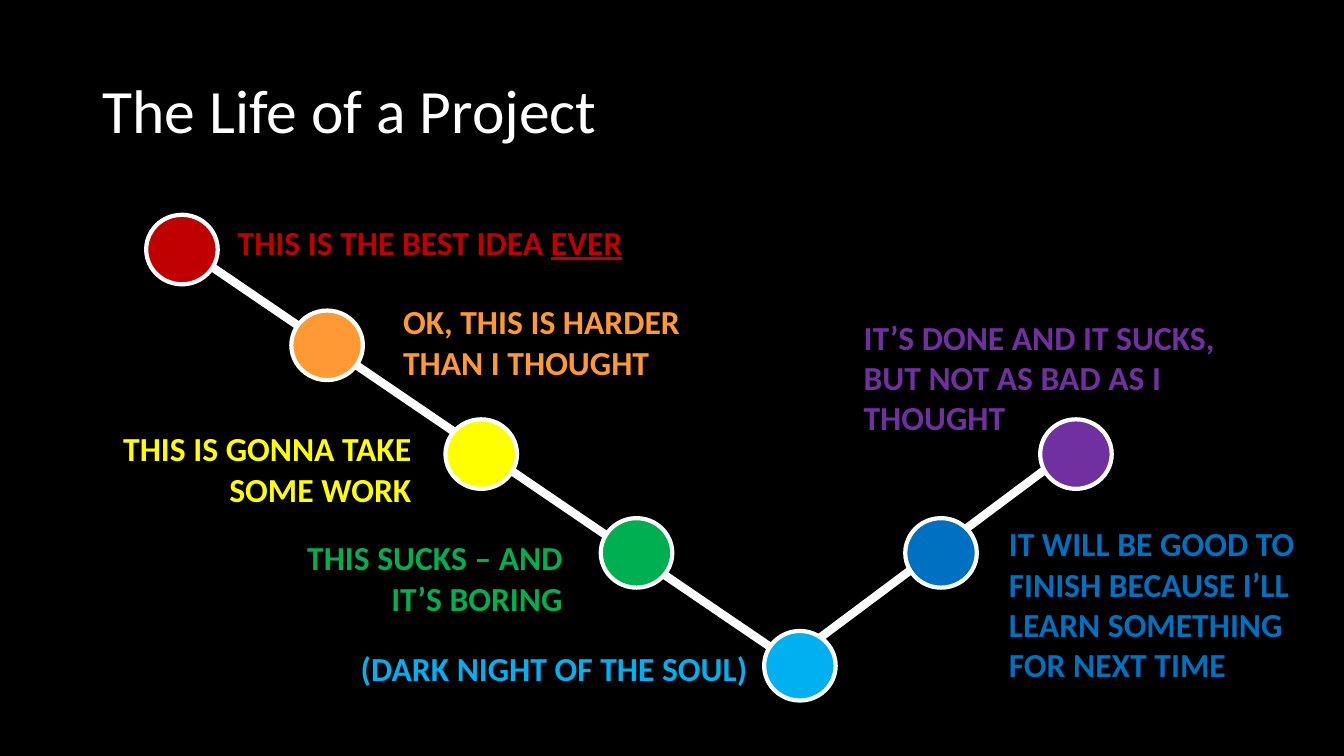
from lxml.etree import SubElement
from pptx import Presentation
from pptx.dml.color import RGBColor
from pptx.enum.shapes import MSO_CONNECTOR, MSO_SHAPE
from pptx.enum.text import MSO_ANCHOR, PP_ALIGN
from pptx.oxml.ns import qn
from pptx.util import Pt

COLORS = {
    "background": "000000", "white": "FFFFFF", "red": "C00000",
    "orange": "FF9933", "yellow": "FFFF00", "green": "00B050",
    "sky": "00B0F0", "blue": "0070C0", "purple": "7030A0",
}
CIRCLE_SIZE = (51.1, 49.7)
LABEL_FORMAT = {"name": "Calibri", "size": Pt(24), "bold": True}
TITLE_FORMAT = {"name": "Calibri", "size": Pt(44), "bold": False}

# Path of the project: start and end of each leg
LEGS = [
    ((118.8, 168.5), (569.5, 475.2)),
    ((559.4, 475.2), (775.4, 313.9)),
]

# Stages: color, left and top of the circle
STAGES = [
    ("purple", 743, 299.5),
    ("blue", 646.6, 370.1),
    ("sky", 545.8, 450.7),
    ("green", 429.1, 370.1),
    ("yellow", 318.2, 299.5),
    ("orange", 208.1, 221.8),
    ("red", 104.4, 153.4),
]

# Labels: color, box, alignment, wrapping, runs as (text, underlined)
LEFT, RIGHT = PP_ALIGN.LEFT, PP_ALIGN.RIGHT
LABELS = [
    ("red", (162.7, 154.8, 292.3, 36), LEFT, False,
     [("THIS IS THE BEST IDEA ", False), ("EVER", True)]),
    ("orange", (280.8, 211.7, 252.7, 65.5), LEFT, True,
     [("OK, THIS IS HARDER THAN I THOUGHT", False)]),
    ("yellow", (72.7, 302.4, 228.2, 65.5), RIGHT, True,
     [("THIS IS GONNA TAKE SOME WORK", False)]),
    ("green", (192.2, 380.2, 216.7, 65.5), RIGHT, True,
     [("THIS SUCKS – AND IT’S BORING", False)]),
    ("sky", (250.6, 459.4, 293, 36), LEFT, False,
     [("(DARK NIGHT OF THE SOUL)", False)]),
    ("blue", (713.5, 370.1, 229, 123.8), LEFT, True,
     [("IT WILL BE GOOD TO FINISH BECAUSE I’LL LEARN SOMETHING "
       "FOR NEXT TIME", False)]),
    ("purple", (609.8, 222.5, 266.4, 94.3), LEFT, True,
     [("IT’S DONE AND IT SUCKS, BUT NOT AS BAD AS I THOUGHT", False)]),
]


def rgb(color):
    return RGBColor.from_string(COLORS[color])


def set_line(shape, width):
    shape.line.color.rgb = rgb("white")
    shape.line.width = Pt(width)


def add_leg(slide, start, end):
    points = [Pt(value) for value in start + end]
    connector = slide.shapes.add_connector(MSO_CONNECTOR.STRAIGHT, *points)
    set_line(connector, 6)
    SubElement(connector._element.spPr, qn("a:effectLst"))


def add_circle(slide, color, left, top):
    box = [Pt(value) for value in (left, top, *CIRCLE_SIZE)]
    shape = slide.shapes.add_shape(MSO_SHAPE.OVAL, *box)
    shape.shadow.inherit = False
    shape.fill.solid()
    shape.fill.fore_color.rgb = rgb(color)
    set_line(shape, 3)


def add_text(slide, color, box, alignment, wrap, runs, font_format):
    shape = slide.shapes.add_textbox(*[Pt(value) for value in box])
    frame = shape.text_frame
    frame.word_wrap = wrap
    paragraph = frame.paragraphs[0]
    paragraph.alignment = alignment
    for text, underlined in runs:
        run = paragraph.add_run()
        run.text = text
        run.font.color.rgb = rgb(color)
        for name, value in {**font_format, "underline": underlined}.items():
            setattr(run.font, name, value)
    return frame


def main():
    presentation = Presentation()
    presentation.slide_width, presentation.slide_height = Pt(960), Pt(540)
    slide = presentation.slides.add_slide(presentation.slide_layouts[6])
    slide.background.fill.solid()
    slide.background.fill.fore_color.rgb = rgb("background")

    # Title
    title = add_text(slide, "white", (66.2, 28.8, 828, 104.4), LEFT, True,
                     [("The Life of a Project", False)], TITLE_FORMAT)
    title.vertical_anchor = MSO_ANCHOR.MIDDLE
    title.paragraphs[0].line_spacing = 0.9

    # Path with its stages
    for start, end in LEGS:
        add_leg(slide, start, end)
    for stage in STAGES:
        add_circle(slide, *stage)

    # Stage labels
    for label in LABELS:
        add_text(slide, *label, LABEL_FORMAT)

    presentation.save("out.pptx")


main()
